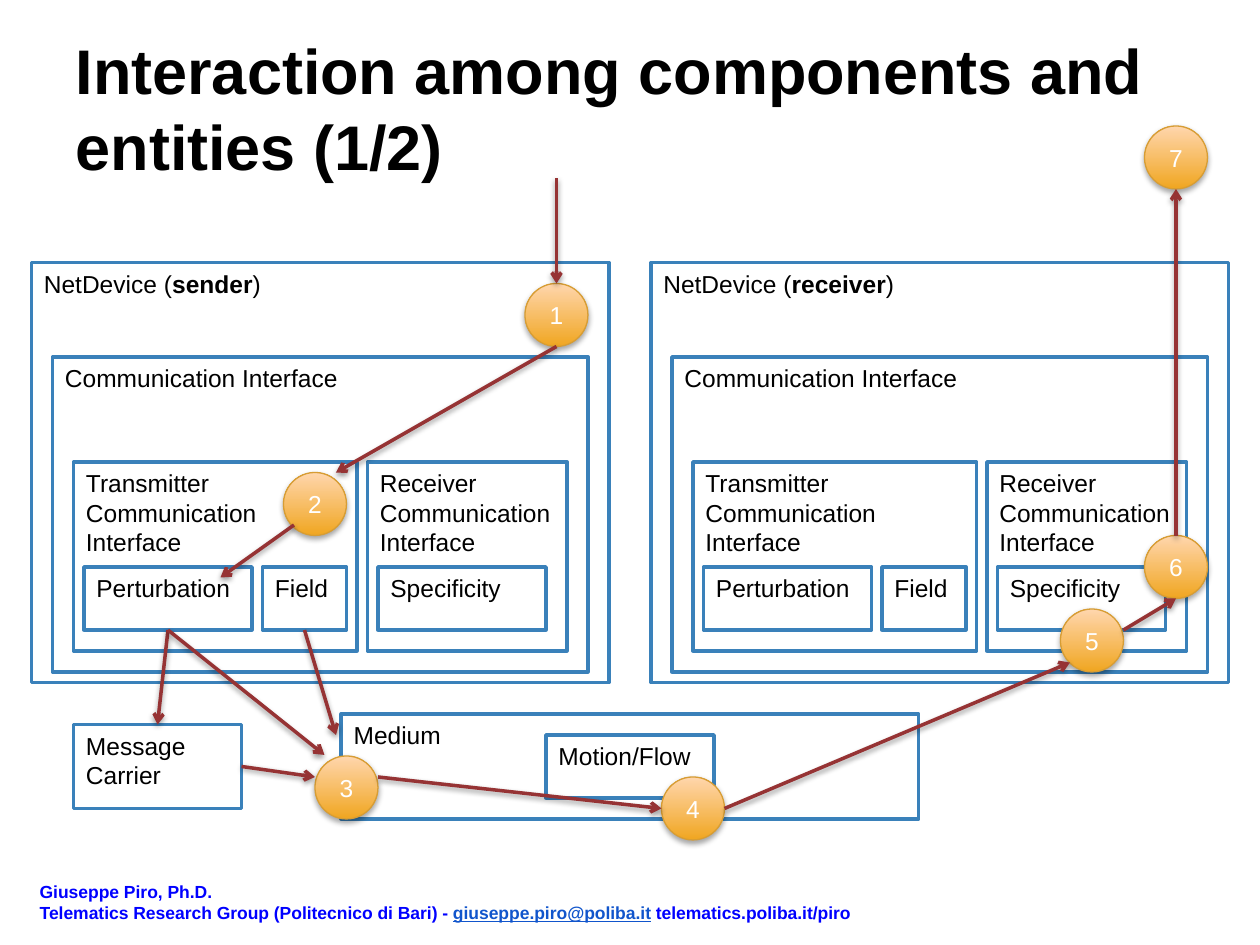
from lxml import etree
from pptx import Presentation
from pptx.dml.color import RGBColor
from pptx.enum.shapes import MSO_CONNECTOR, MSO_SHAPE
from pptx.enum.text import MSO_ANCHOR, MSO_AUTO_SIZE, PP_ALIGN
from pptx.oxml import parse_xml
from pptx.oxml.ns import nsdecls, qn
from pptx.util import Emu, Pt

BLACK = RGBColor(0x00, 0x00, 0x00)
WHITE = RGBColor(0xFF, 0xFF, 0xFF)
BOX_LINE = RGBColor(0x3A, 0x81, 0xBA)
ARROW = RGBColor(0x96, 0x33, 0x34)
STEP_DARK = RGBColor(0xF0, 0xA6, 0x21)
STEP_LIGHT = RGBColor(0xFF, 0xD6, 0xAD)
STEP_LINE = RGBColor(0xD7, 0x9D, 0x34)
FOOTER = RGBColor(0x00, 0x00, 0xFF)
LINK = RGBColor(0x11, 0x55, 0xCC)

SCALE = 7620  # EMU per px, 120 px to the inch


def px(*values):
    return [Emu(v * SCALE) for v in values]


class Diagram:
    font = "Arial"
    step_size = 60

    def __init__(self, prs):
        self.s = prs.slides.add_slide(prs.slide_layouts[5])

    def fill_text(self, tf, paragraphs, size=14, color=BLACK, bold=False,
                  align=PP_ALIGN.LEFT, anchor=MSO_ANCHOR.TOP, inset=None):
        """Each paragraph is a list of (text, font overrides) runs."""
        frame = {"word_wrap": True, "vertical_anchor": anchor}
        if inset is not None:
            for side in ("left", "top", "right", "bottom"):
                frame["margin_" + side] = Emu(inset * SCALE)
        for key, value in frame.items():
            setattr(tf, key, value)
        for i, runs in enumerate(paragraphs):
            p = tf.add_paragraph() if i else tf.paragraphs[0]
            p.alignment = align
            for text, changes in runs:
                r = p.add_run()
                r.text = text
                style = {"name": self.font, "size": Pt(size), "bold": bold,
                         "color": color, **changes}
                r.font.color.rgb = style.pop("color")
                for key, value in style.items():
                    setattr(r.font, key, value)

    def shadow(self, sp, dist, alpha):
        sp._element.spPr.append(parse_xml(
            f'<a:effectLst {nsdecls("a")}><a:outerShdw blurRad="40000" '
            f'dist="{dist}" dir="5400000" rotWithShape="0">'
            f'<a:srgbClr val="000000"><a:alpha val="{alpha}"/></a:srgbClr>'
            '</a:outerShdw></a:effectLst>'))

    def title(self, text, x, y, w, h):
        sp = self.s.shapes.title
        sp.left, sp.top, sp.width, sp.height = px(x, y, w, h)
        sp.text_frame.auto_size = MSO_AUTO_SIZE.NONE
        self.fill_text(sp.text_frame, [[(text, {})]], size=36, bold=True,
                       anchor=MSO_ANCHOR.BOTTOM, inset=12)

    def footer(self, paragraphs, x, y, w, h):
        sp = self.s.shapes.add_textbox(*px(x, y, w, h))
        self.fill_text(sp.text_frame, paragraphs, size=10, color=FOOTER,
                       bold=True, inset=12)

    def box(self, paragraphs, x, y, w, h):
        sp = self.s.shapes.add_shape(MSO_SHAPE.RECTANGLE, *px(x, y, w, h))
        sp.shadow.inherit = False
        sp.fill.solid()
        sp.fill.fore_color.rgb = WHITE
        sp.line.color.rgb = BOX_LINE
        sp.line.width = Pt(2)
        self.fill_text(sp.text_frame, paragraphs)

    def step(self, number, x, y):
        d = self.step_size
        sp = self.s.shapes.add_shape(MSO_SHAPE.OVAL, *px(x, y, d, d))
        sp.fill.gradient()
        sp.fill.gradient_angle = 90
        for stop, color in zip(sp.fill.gradient_stops, (STEP_DARK, STEP_LIGHT)):
            stop.color.rgb = color
        sp.line.color.rgb = STEP_LINE
        sp.line.width = Pt(0.75)
        self.shadow(sp, 23000, 35000)
        self.fill_text(sp.text_frame, [[(str(number), {})]], color=WHITE,
                       align=PP_ALIGN.CENTER, anchor=MSO_ANCHOR.MIDDLE)

    def arrow(self, x1, y1, x2, y2):
        sp = self.s.shapes.add_connector(MSO_CONNECTOR.STRAIGHT,
                                         *px(x1, y1, x2, y2))
        sp.line.color.rgb = ARROW
        sp.line.width = Pt(2)
        ln = sp._element.spPr.find(qn("a:ln"))
        etree.SubElement(ln, qn("a:tailEnd"), type="arrow")
        self.shadow(sp, 20000, 38000)

    def net_device(self, role, x):
        self.box([[("NetDevice (", {}), (role, {"bold": True}), (")", {})]],
                 x, 250, 550, 400)
        for lines, dx, y, w, h in (
                (["Communication Interface"], 20, 340, 510, 300),
                (["Transmitter Communication Interface"], 40, 440, 270, 180),
                (["Receiver", "Communication Interface"], 320, 440, 190, 180),
                (["Perturbation"], 50, 540, 160, 60),
                (["Field"], 220, 540, 80, 60),
                (["Specificity"], 330, 540, 160, 60)):
            self.box([[(line, {})] for line in lines], x + dx, y, w, h)


def main():
    prs = Presentation()
    prs.slide_width, prs.slide_height = px(1200, 900)
    d = Diagram(prs)

    # Title and footer
    d.title("Interaction among components and entities (1/2)", 60, 36, 1080, 150)
    d.footer([
        [("Giuseppe Piro, Ph.D.", {})],
        [("Telematics Research Group (Politecnico di Bari) - ", {}),
         ("giuseppe.piro@poliba.it", {"color": LINK, "underline": True}),
         (" telematics.poliba.it/piro", {})],
    ], 26, 827, 1088, 60)

    # Devices, medium and carrier
    d.net_device("sender", 30)
    d.net_device("receiver", 620)
    for text, *place in (("Medium", 325, 680, 550, 100),
                         ("Motion/Flow", 520, 700, 160, 60),
                         ("Message Carrier", 70, 690, 160, 80)):
        d.box([[(text, {})]], *place)

    # Numbered steps
    steps = ((500, 270), (270, 450), (300, 720), (630, 740),
             (1010, 580), (1090, 510), (1090, 120))
    for number, (x, y) in enumerate(steps, 1):
        d.step(number, x, y)

    # Flow between the steps
    for ends in ((530, 170, 530, 270), (530, 330, 320, 450),
                 (280, 500, 210, 550), (160, 600, 150, 690),
                 (160, 600, 309, 719), (290, 600, 320, 700),
                 (230, 730, 300, 740), (360, 740, 630, 770),
                 (690, 770, 1019, 631), (1070, 600, 1120, 570),
                 (1120, 510, 1120, 180)):
        d.arrow(*ends)

    prs.save("out.pptx")


if __name__ == "__main__":
    main()
